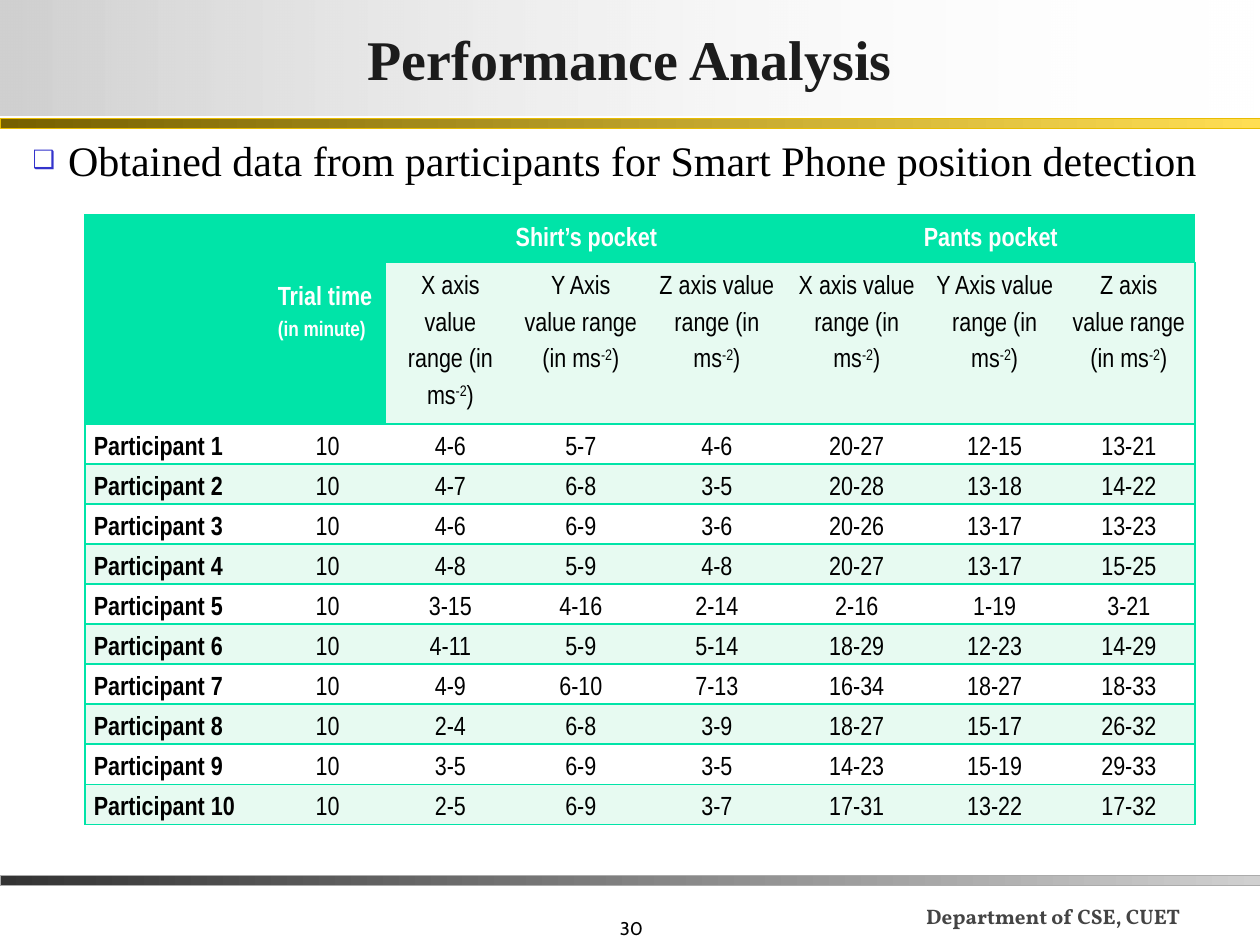
"""Build the performance analysis slide with its table of participants."""
from dataclasses import dataclass
from typing import NamedTuple

from lxml import etree
from pptx import Presentation, util as u
from pptx.dml.color import RGBColor
from pptx.enum import shapes, text
from pptx.oxml import ns

UNIT = u.Inches(0.1)
MID, LEFT, RIGHT = text.PP_ALIGN.CENTER, text.PP_ALIGN.LEFT, text.PP_ALIGN.RIGHT
LOW, TOP = text.MSO_ANCHOR.BOTTOM, text.MSO_ANCHOR.TOP


@dataclass(frozen=True)
class Theme:
    teal: str = "00E4A8"
    mint: str = "E7FAF1"
    white: str = "FFFFFF"
    black: str = "000000"
    ink: str = "1C1C1C"
    slate: str = "444444"
    mark: str = "3333CC"
    serif: str = "Times New Roman"
    narrow: str = "Arial Narrow"
    head: float = 32
    lead: float = 24
    cell: float = 15
    small: float = 12
    page: float = 10.5
    pitch: float = 21.1


class Box(NamedTuple):
    x: float
    y: float
    w: float
    h: float

    def place(self) -> tuple:
        return tuple(round(v * UNIT) for v in self)


class Bar(NamedTuple):
    box: Box
    start: str
    end: str
    edge: str


class Note(NamedTuple):
    box: Box
    words: str
    font: str
    size: float
    color: str
    bold: bool
    align: int


T = Theme()
BARS = [
    Bar(Box(0, 69.5, 100, 0.8), "333333", "D0D0D0", "ABABAB"),
    Bar(Box(0, 9.4, 100, 0.8), "766000", "FFDE53", "E8BC00"),
]
NOTES = [
    Note(Box(31.2, 70, 20.8, 5), "30", "Cabin", T.page, T.black, False, RIGHT),
    Note(Box(66.4, 68, 34.4, 6.2), "Department of CSE, CUET", "Vollkorn",
         T.small, T.slate, True, MID),
]
COLS = [14.6, 9.3, 10.2, 10.5, 11.1, 11.1, 10.8, 10.5]
ROWS = [3.8, 12.8] + [3.18] * 10
AXES = ["X axis", "Y Axis", "Z axis"] * 2
TRIAL = "10"
DATA = [
    "4-6 5-7 4-6 20-27 12-15 13-21",
    "4-7 6-8 3-5 20-28 13-18 14-22",
    "4-6 6-9 3-6 20-26 13-17 13-23",
    "4-8 5-9 4-8 20-27 13-17 15-25",
    "3-15 4-16 2-14 2-16 1-19 3-21",
    "4-11 5-9 5-14 18-29 12-23 14-29",
    "4-9 6-10 7-13 16-34 18-27 18-33",
    "2-4 6-8 3-9 18-27 15-17 26-32",
    "3-5 6-9 3-5 14-23 15-19 29-33",
    "2-5 6-9 3-7 17-31 13-22 17-32",
]


def write(para, words: str, *, font: str = T.narrow, size: float = T.cell,
          color: str = T.black, bold: bool = False, align=MID, lift: int = 0):
    """Add one formatted run to a paragraph."""
    para.alignment = align
    run = para.add_run()
    run.text = words
    run.font.name, run.font.size, run.font.bold = font, u.Pt(size), bold
    run.font.color.rgb = RGBColor.from_string(color)
    if lift:
        run.font._element.set("baseline", str(lift * 1000))


def blend(shape, start: str, end: str):
    """Fill a shape with a gradient from left to right."""
    shape.fill.gradient()
    shape.fill.gradient_angle = 0
    for stop, color in zip(shape.fill.gradient_stops, (start, end)):
        stop.color.rgb = RGBColor.from_string(color)


def put(shape, box: Box):
    """Move and size a shape."""
    shape.left, shape.top, shape.width, shape.height = box.place()


def draw_bar(slide, bar: Bar):
    """Draw one gradient rule across the slide."""
    shape = slide.shapes.add_shape(shapes.MSO_SHAPE.RECTANGLE, *bar.box.place())
    shape.shadow.inherit = False
    blend(shape, bar.start, bar.end)
    shape.line.color.rgb = RGBColor.from_string(bar.edge)
    shape.line.width = u.Pt(0.25)


def draw_note(slide, note: Note):
    """Draw one footer text."""
    frame = slide.shapes.add_textbox(*note.box.place()).text_frame
    frame.word_wrap, frame.vertical_anchor = True, LOW
    write(frame.paragraphs[0], note.words, font=note.font, size=note.size,
          color=note.color, bold=note.bold, align=note.align)


def draw_title(slide):
    """Format the title band, which fades out to the right."""
    title = slide.shapes.title
    put(title, Box(0, 0, 100, 9.15))
    blend(title, "D0D0D0", T.white)
    tint = list(title._element.spPr.iter(ns.qn("a:srgbClr")))[-1]
    etree.SubElement(tint, ns.qn("a:alpha"), val="0")
    frame = title.text_frame
    frame.auto_size = text.MSO_AUTO_SIZE.NONE
    frame.margin_left = frame.margin_right = u.Inches(0.02)
    frame.margin_top = frame.margin_bottom = u.Inches(0.01)
    write(frame.paragraphs[0], "Performance Analysis", font=T.serif,
          size=T.head, color=T.ink, bold=True)


def draw_lead(slide):
    """Format the bulleted line."""
    body = slide.placeholders[1]
    put(body, Box(1.6, 10.2, 94.5, 59.8))
    frame = body.text_frame
    frame.auto_size, frame.vertical_anchor = text.MSO_AUTO_SIZE.NONE, TOP
    para = frame.paragraphs[0]
    write(para, "Obtained data from participants for Smart Phone position detection",
          font=T.serif, size=T.lead, align=LEFT)
    props = para._p.get_or_add_pPr()
    props.set("marL", str(u.Inches(0.28)))
    props.set("indent", str(-u.Inches(0.28)))
    tint = etree.SubElement(props, ns.qn("a:buClr"))
    etree.SubElement(tint, ns.qn("a:srgbClr"), val=T.mark)
    etree.SubElement(props, ns.qn("a:buSzPct"), val="60000")
    etree.SubElement(props, ns.qn("a:buChar"), char="❑")


def dress(cell, fill: str, sides: str):
    """Set the borders, fill, margins and spacing of a cell."""
    props = cell._tc.get_or_add_tcPr()
    for side in sides:
        line = etree.SubElement(props, ns.qn(f"a:ln{side}"), w=str(u.Pt(1)))
        solid = etree.SubElement(line, ns.qn("a:solidFill"))
        etree.SubElement(solid, ns.qn("a:srgbClr"), val=T.teal)
    cell.fill.solid()
    cell.fill.fore_color.rgb = RGBColor.from_string(fill)
    cell.margin_left = cell.margin_right = u.Inches(0.07)
    cell.margin_top = cell.margin_bottom = 0
    para = cell.text_frame.paragraphs[0]
    para.line_spacing, para.space_after = u.Pt(T.pitch), u.Pt(1.5)


def draw_table(slide):
    """Draw the table of measured ranges."""
    box = Box(6.75, 17.05, sum(COLS), sum(ROWS))
    grid = slide.shapes.add_table(len(ROWS), len(COLS), *box.place()).table
    grid.first_row = grid.horz_banding = False
    style = grid._tbl.tblPr.find(ns.qn("a:tableStyleId"))
    style.text = "{2D5ABB26-0587-4C30-8999-92F81FD0307C}"
    for col, wide in zip(grid.columns, COLS):
        col.width = round(wide * UNIT)
    for r, (row, tall) in enumerate(zip(grid.rows, ROWS)):
        row.height = round(tall * UNIT)
        for c, cell in enumerate(row.cells):
            head = r == 0 or (r == 1 and c < 2)
            fill = T.teal if head else T.mint if r % 2 else T.white
            sides = "L" * (c == 0) + "R" * (c == len(COLS) - 1) + "TB"
            dress(cell, fill, sides)

    def para(r: int, c: int):
        return grid.cell(r, c).text_frame.paragraphs[0]

    for c in (0, 1):
        grid.cell(0, c).merge(grid.cell(1, c))
    grid.cell(0, 1).margin_top = u.Inches(0.47)
    para(0, 1).line_spacing = 1.5
    for words, size in (("Trial time ", T.cell), ("(in minute)", T.small)):
        write(para(0, 1), words, size=size, color=T.white, bold=True, align=LEFT)
    for c, words in ((2, "Shirt’s pocket"), (5, "Pants pocket")):
        grid.cell(0, c).merge(grid.cell(0, c + 2))
        write(para(0, c), words, color=T.white, bold=True)
    for c, axis in enumerate(AXES, 2):
        for words, lift in ((f"{axis} value range (in ms", 0), ("-2", 30), (")", 0)):
            write(para(1, c), words, lift=lift)
    for n, line in enumerate(DATA, 1):
        write(para(n + 1, 0), f"Participant {n}", bold=True, align=LEFT)
        for c, words in enumerate([TRIAL, *line.split()], 1):
            write(para(n + 1, c), words)


def main():
    """Build and save the slide."""
    deck = Presentation()
    deck.slide_width, deck.slide_height = 100 * UNIT, 75 * UNIT
    slide = deck.slides.add_slide(deck.slide_layouts[1])
    for note in NOTES:
        draw_note(slide, note)
    for bar in BARS:
        draw_bar(slide, bar)
    draw_title(slide)
    draw_lead(slide)
    draw_table(slide)
    deck.save("out.pptx")


if __name__ == "__main__":
    main()
